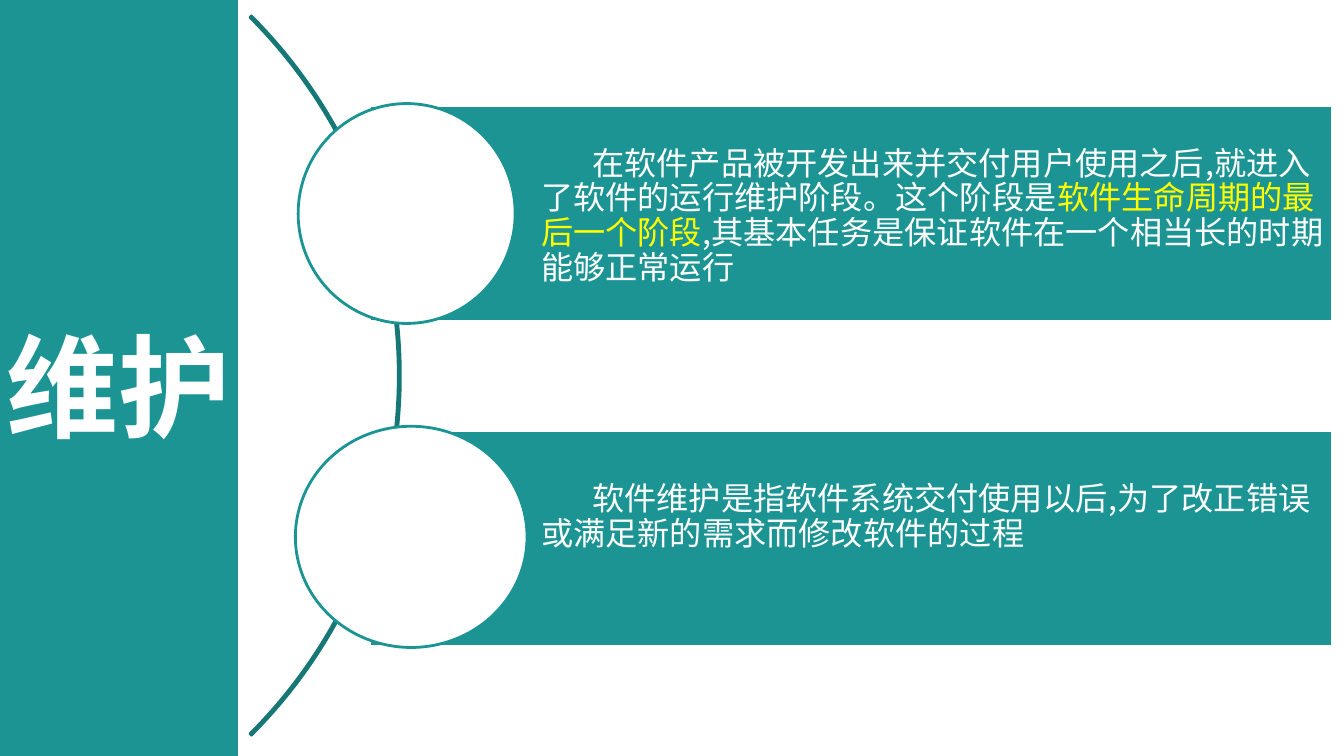
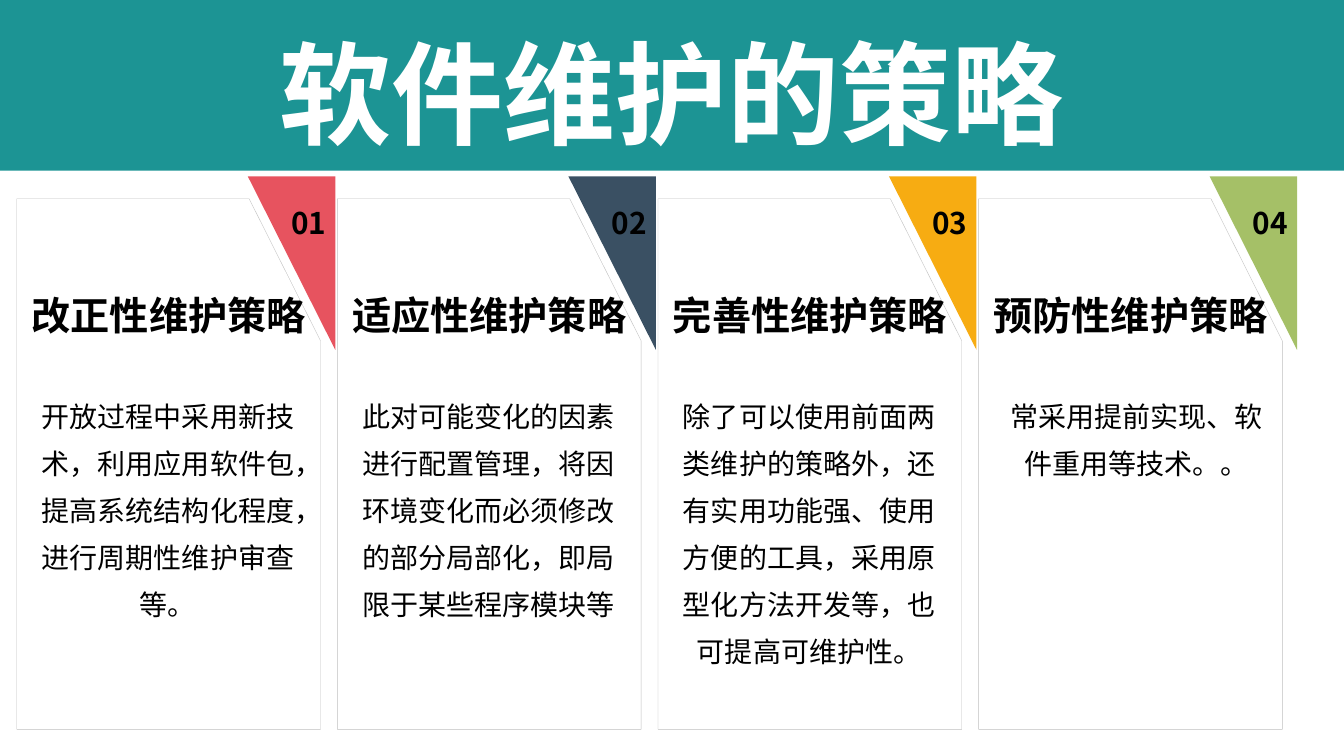
import pptx
import pptx.dml.color
import pptx.enum.shapes
import pptx.enum.text
import pptx.oxml
import pptx.oxml.ns
import pptx.util

Pt = pptx.util.Pt
SHAPE = pptx.enum.shapes.MSO_SHAPE
ALIGN = pptx.enum.text.PP_ALIGN
ANCHOR = pptx.enum.text.MSO_ANCHOR


def rgb(color):
    return pptx.dml.color.RGBColor.from_string(color)


class Deck:
    """House style plus the slide being drawn; lengths are in points."""

    FONT = "Noto Sans CJK SC"
    TEAL, DARK_TEAL = "1C9494", "167777"
    WHITE, BLACK, YELLOW, GRAY = "FFFFFF", "000000", "FFFF00", "BFBFBF"
    LINE_HEIGHT = 1.2

    def __init__(self, width, height):
        self.prs = pptx.Presentation()
        self.prs.slide_width, self.prs.slide_height = Pt(width), Pt(height)
        self.s = None

    def new_slide(self):
        self.s = self.prs.slides.add_slide(self.prs.slide_layouts[6])

    def paint(self, sp, fill=None, line=None, weight=2):
        sp.shadow.inherit = False
        if fill:
            sp.fill.solid()
            sp.fill.fore_color.rgb = rgb(fill)
        else:
            sp.fill.background()
        if line:
            sp.line.color.rgb = rgb(line)
            sp.line.width = Pt(weight)
        else:
            sp.line.fill.background()
        return sp

    def shape(self, kind, box, fill=None, line=None):
        sp = self.s.shapes.add_shape(kind, *map(Pt, box))
        return self.paint(sp, fill, line)

    def outline(self, points, fill, line=None, weight=2):
        """Draw a closed polygon."""
        corners = [(Pt(x), Pt(y)) for x, y in points]
        builder = self.s.shapes.build_freeform(*corners[0])
        builder.add_line_segments(corners[1:], close=True)
        return self.paint(builder.convert_to_shape(), fill, line, weight)

    def set_runs(self, sp, runs, size, bold=False, spacing=1.0, align=ALIGN.CENTER,
                 anchor=ANCHOR.TOP, insets=(0, 0, 0, 0), indent=0):
        """Fill a shape with one paragraph of (text, colour) runs."""
        tf = sp.text_frame
        tf.word_wrap = True
        tf.vertical_anchor = anchor
        tf.margin_left, tf.margin_top, tf.margin_right, tf.margin_bottom = map(Pt, insets)
        p = tf.paragraphs[0]
        p.alignment = align
        p.line_spacing = Pt(round(size * spacing * self.LINE_HEIGHT, 1))
        if indent:
            p._p.get_or_add_pPr().set("indent", str(int(Pt(indent))))
        for text, color in runs:
            r = p.add_run()
            r.text = text
            r.font.size, r.font.bold = Pt(size), bold
            r.font.name = self.FONT
            r.font.color.rgb = rgb(color)
            ea = pptx.oxml.parse_xml(
                '<a:ea xmlns:a="http://schemas.openxmlformats.org/drawingml/2006/main" '
                f'typeface="{self.FONT}"/>')
            r._r.rPr.find(pptx.oxml.ns.qn("a:latin")).addnext(ea)

    def text(self, box, text, size, **style):
        sp = self.s.shapes.add_textbox(*map(Pt, box))
        self.set_runs(sp, [(text, self.BLACK)], size, **style)

    def title_band(self, box, title):
        sp = self.shape(SHAPE.RECTANGLE, box, self.TEAL)
        self.set_runs(sp, [(title, self.WHITE)], 80, bold=True,
                      anchor=ANCHOR.MIDDLE, insets=(0, 9, 0, 0))

    def panel(self, top, runs, circle, top_inset, bottom_inset):
        """Draw a wide text panel with a circle over its left end."""
        sp = self.shape(SHAPE.RECTANGLE, (264, top, 688, 154), self.TEAL, self.WHITE)
        self.set_runs(sp, runs, 23, spacing=0.9, align=ALIGN.LEFT, anchor=ANCHOR.MIDDLE,
                      insets=(122.5, top_inset, 4, bottom_inset), indent=36.5)
        self.shape(SHAPE.OVAL, circle, self.WHITE, self.TEAL)

    def card(self, x, number, color, heading, body, body_shift):
        self.outline([(x, 142), (x + 166, 142), (x + 217, 243.5),
                      (x + 217, 521), (x, 521)], self.WHITE, self.GRAY, 0.25)
        self.outline([(x + 227.5, 126), (x + 165, 126), (x + 227.5, 250)], color)
        self.text((x, 213, 217, 34), heading, 28, bold=True, spacing=0.7,
                  insets=(5, 5, 5, 5))
        self.text((x + body_shift, 275.5, 182, 234), body, 20, spacing=1.4)
        self.text((x + 193.5, 112.5, 30, 83), number, 21.3, bold=True, spacing=1.4,
                  anchor=ANCHOR.MIDDLE)


def maintenance(deck):
    deck.new_slide()
    deck.title_band((0, 0, 170, 540), "维护")
    arc = deck.shape(SHAPE.BLOCK_ARC, (-440.5, -95, 726.5, 726.5), line=deck.DARK_TEAL)
    for i, value in enumerate((189, 27, 0.002)):
        arc.adjustments[i] = value
    deck.panel(75.5, [
        ("在软件产品被开发出来并交付用户使用之后,就进入了软件的运行维护阶段。这个阶段是", deck.WHITE),
        ("软件生命周期的最后一个阶段", deck.YELLOW),
        (",其基本任务是保证软件在一个相当长的时期能够正常运行", deck.WHITE),
    ], (213, 74, 155, 157), 8, 4)
    deck.panel(307.5, [
        ("软件维护是指软件系统交付使用以后,为了改正错误或满足新的需求而修改软件的过程", deck.WHITE),
    ], (211, 304.5, 165.5, 158), 4, 34)


def strategies(deck):
    deck.new_slide()
    deck.title_band((0, 0, 960, 122), "软件维护的策略")
    cards = [
        ("E7535F", "改正性维护策略",
         "开放过程中采用新技术，利用应用软件包，提高系统结构化程度，进行周期性维护审查等。", 17),
        ("3A5063", "适应性维护策略",
         "此对可能变化的因素进行配置管理，将因环境变化而必须修改的部分局部化，即局限于某些程序模块等", 17),
        ("F7AC12", "完善性维护策略",
         "除了可以使用前面两类维护的策略外，还有实用功能强、使用方便的工具，采用原型化方法开发等，也可提高可维护性。", 17),
        ("A5C067", "预防性维护策略", "常采用提前实现、软件重用等技术。。", 22),
    ]
    for i, (color, heading, body, body_shift) in enumerate(cards):
        deck.card(12 + 229 * i, f"{i + 1:02d}", color, heading, body, body_shift)


def main():
    deck = Deck(960, 540)
    maintenance(deck)
    strategies(deck)
    deck.prs.save("out.pptx")


if __name__ == "__main__":
    main()
